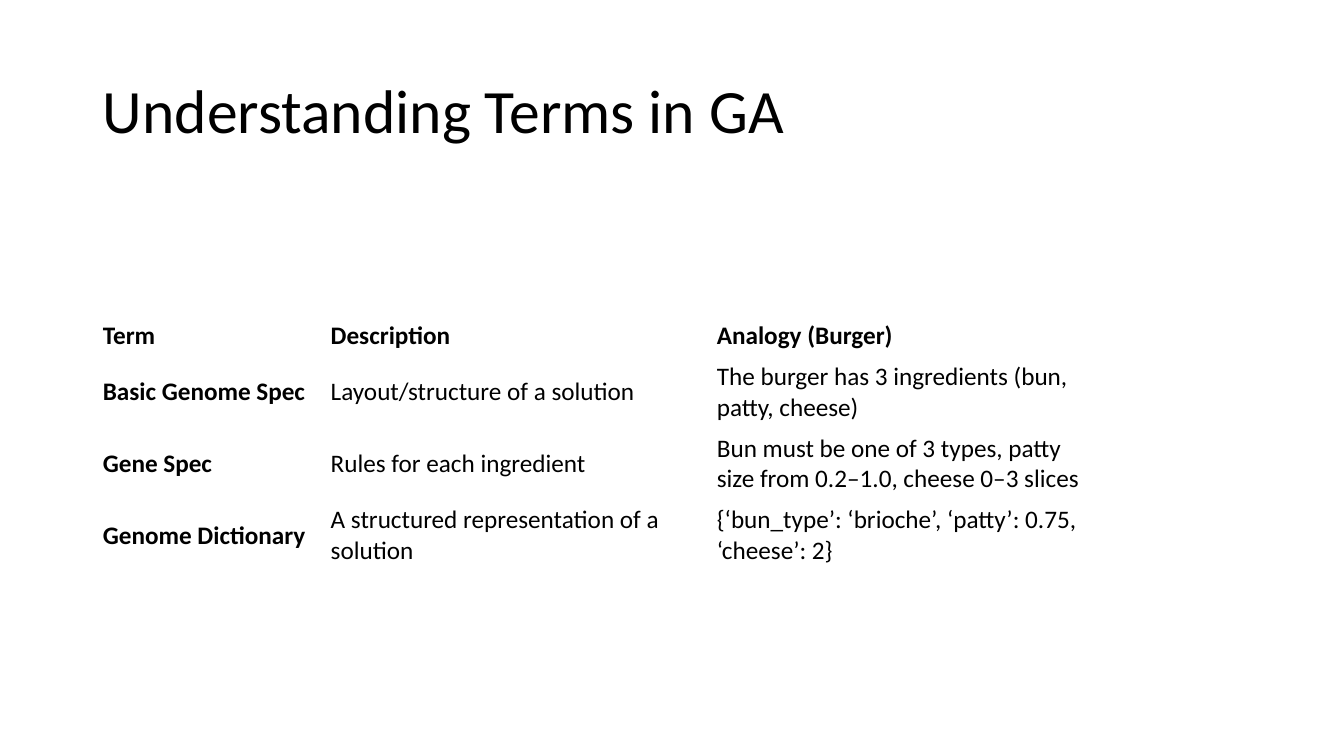
from pptx import Presentation
from pptx.dml.color import RGBColor as Rgb
from pptx.enum.text import MSO_ANCHOR as Anchor, PP_ALIGN as Align
from pptx.util import Inches, Pt

FONT = "Calibri"
HUES = {"text": "000000", "page": "FFFFFF"}
WIDE, HIGH = 13.33, 7.5
LEFT = 0.92
COLS = (2.26, 3.83, 3.83)
ROWS = (0.4, 0.7, 0.7, 0.7)
TERMS = (
    ("Term", "Description", "Analogy (Burger)"),
    ("Basic Genome Spec", "Layout/structure of a solution",
     "The burger has 3 ingredients (bun, patty, cheese)"),
    ("Gene Spec", "Rules for each ingredient",
     "Bun must be one of 3 types, patty size from 0.2–1.0, cheese 0–3 slices"),
    ("Genome Dictionary", "A structured representation of a solution",
     "{‘bun_type’: ‘brioche’, ‘patty’: 0.75, ‘cheese’: 2}"),
)


def write(frame, text, size, bold=False):
    para = frame.paragraphs[0]
    para.alignment = Align.LEFT
    run = para.add_run()
    run.text = text
    font = run.font
    font.name, font.size, font.bold = FONT, Pt(size), bold
    font.color.rgb = Rgb.from_string(HUES["text"])
    return para


def add_title(slide, text):
    title = slide.shapes.title
    title.left, title.top = Inches(LEFT), Inches(0.4)
    title.width, title.height = Inches(WIDE - 2 * LEFT), Inches(1.45)
    frame = title.text_frame
    frame.word_wrap = True
    frame.vertical_anchor = Anchor.MIDDLE
    write(frame, text, 44).line_spacing = 0.9


def add_terms(slide):
    """Draw the plain table, with bold headings in the first row and column."""
    table = slide.shapes.add_table(
        len(ROWS), len(COLS), Inches(LEFT), Inches(3.13),
        Inches(sum(COLS)), Inches(sum(ROWS))).table
    table.first_row = table.horz_banding = False
    for col, width in zip(table.columns, COLS):
        col.width = Inches(width)
    for r, (row, high) in enumerate(zip(table.rows, ROWS)):
        row.height = Inches(high)
        for c, cell in enumerate(row.cells):
            cell.fill.background()
            cell.vertical_anchor = Anchor.MIDDLE
            write(cell.text_frame, TERMS[r][c], 18, bold=r == 0 or c == 0)


def main():
    deck = Presentation()
    deck.slide_width, deck.slide_height = Inches(WIDE), Inches(HIGH)
    slide = deck.slides.add_slide(deck.slide_layouts[5])
    fill = slide.background.fill
    fill.solid()
    fill.fore_color.rgb = Rgb.from_string(HUES["page"])
    add_title(slide, "Understanding Terms in GA")
    add_terms(slide)
    deck.save("out.pptx")


if __name__ == "__main__":
    main()
